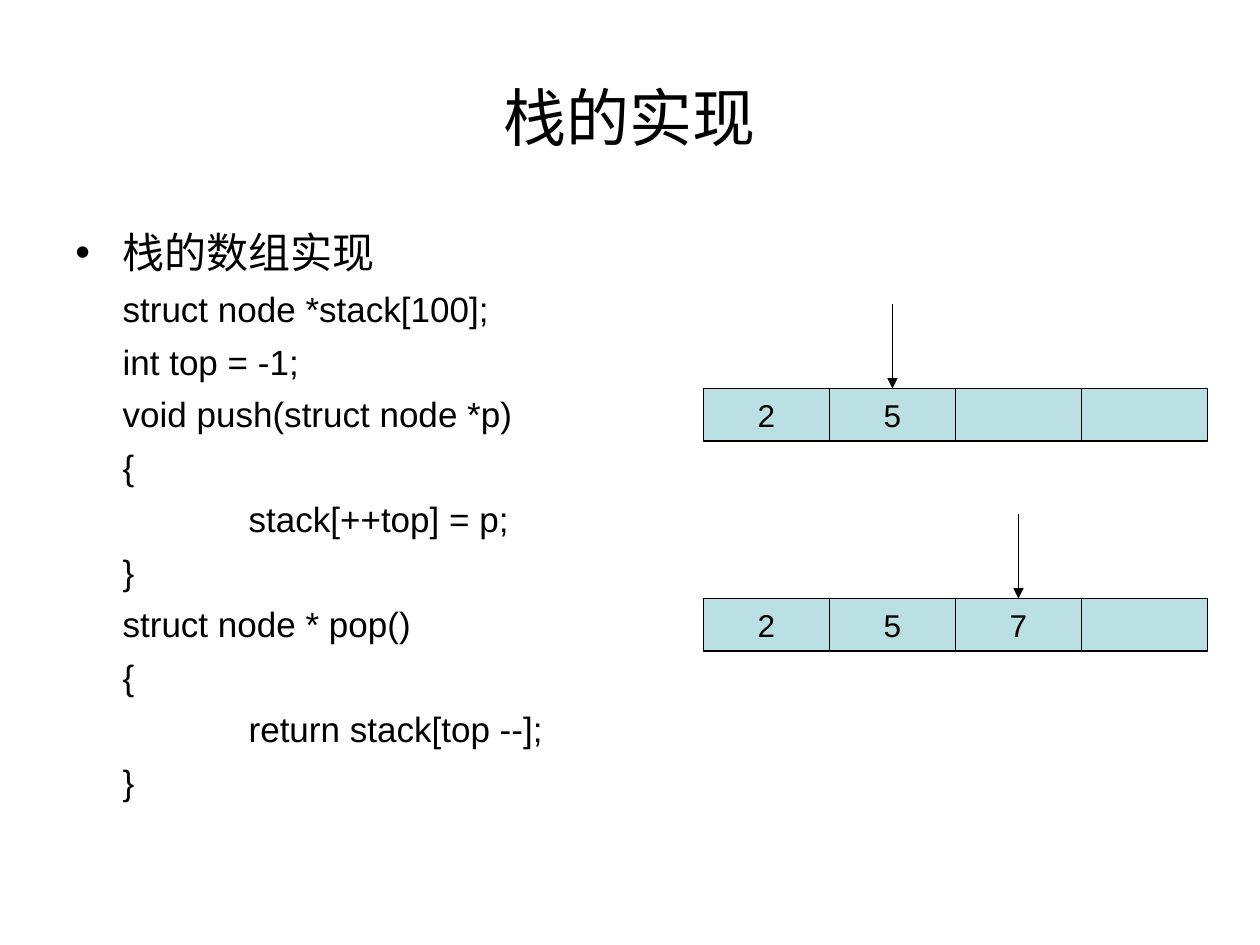
import pptx
import pptx.util
import pptx.dml.color
import pptx.enum.shapes
import pptx.enum.text
import pptx.oxml.ns
import lxml.etree

Pt = pptx.util.Pt
qn = pptx.oxml.ns.qn
Align = pptx.enum.text.PP_ALIGN
Anchor = pptx.enum.text.MSO_ANCHOR
Kind = pptx.enum.shapes.MSO_SHAPE
Line = pptx.enum.shapes.MSO_CONNECTOR


def color(text):
    return pptx.dml.color.RGBColor.from_string(text)


def style(para, text, size):
    para.text = text
    para.font.size = Pt(size)
    para.font.name = "Arial"
    para.font.color.rgb = color("000000")


deck = pptx.Presentation()
deck.slide_width, deck.slide_height = Pt(720), Pt(540)
slide = deck.slides.add_slide(deck.slide_layouts[6])
shapes = slide.shapes

title = shapes.add_textbox(Pt(36), Pt(21.6), Pt(648), Pt(90)).text_frame
title.word_wrap = True
title.vertical_anchor = Anchor.MIDDLE
style(title.paragraphs[0], "栈的实现", 36)
title.paragraphs[0].alignment = Align.CENTER

body = shapes.add_textbox(Pt(36), Pt(126), Pt(648), Pt(330)).text_frame
body.word_wrap = True
head = body.paragraphs[0]
style(head, "栈的数组实现", 24)
head.space_before = Pt(6)
props = head._p.get_or_add_pPr()
props.set("marL", str(Pt(27)))
props.set("indent", str(Pt(-27)))
lxml.etree.SubElement(props, qn("a:buFont")).set("typeface", "Arial")
lxml.etree.SubElement(props, qn("a:buChar")).set("char", "•")

code = [
    (0, "struct node *stack[100];"),
    (0, "int top = -1;"),
    (0, "void push(struct node *p)"),
    (0, "{"),
    (1, "stack[++top] = p;"),
    (0, "}"),
    (0, "struct node * pop()"),
    (0, "{"),
    (1, "return stack[top --];"),
    (0, "}"),
]
for depth, text in code:
    para = body.add_paragraph()
    style(para, text, 20)
    para.space_before = Pt(6)
    para._p.get_or_add_pPr().set("marL", str(Pt(27 + 72 * depth)))

left, wide, high, drop = 402, 72, 30, 48
for y, items in [(222, ["2", "5", "", ""]), (342, ["2", "5", "7", ""])]:
    for col, text in enumerate(items):
        cell = shapes.add_shape(
            Kind.RECTANGLE, Pt(left + col * wide), Pt(y), Pt(wide), Pt(high)
        )
        cell.shadow.inherit = False
        cell.fill.solid()
        cell.fill.fore_color.rgb = color("BBE0E3")
        cell.line.color.rgb = color("000000")
        cell.line.width = Pt(0.75)
        if text:
            frame = cell.text_frame
            frame.word_wrap = False
            frame.vertical_anchor = Anchor.MIDDLE
            style(frame.paragraphs[0], text, 18)
            frame.paragraphs[0].alignment = Align.CENTER

    top = items.index("") - 1
    x = left + (top + 0.5) * wide
    arrow = shapes.add_connector(Line.STRAIGHT, Pt(x), Pt(y - drop), Pt(x), Pt(y))
    arrow.line.color.rgb = color("000000")
    arrow.line.width = Pt(0.75)
    tail = lxml.etree.SubElement(arrow.line._get_or_add_ln(), qn("a:tailEnd"))
    tail.set("type", "triangle")
    lxml.etree.SubElement(arrow._element.spPr, qn("a:effectLst"))

deck.save("out.pptx")
